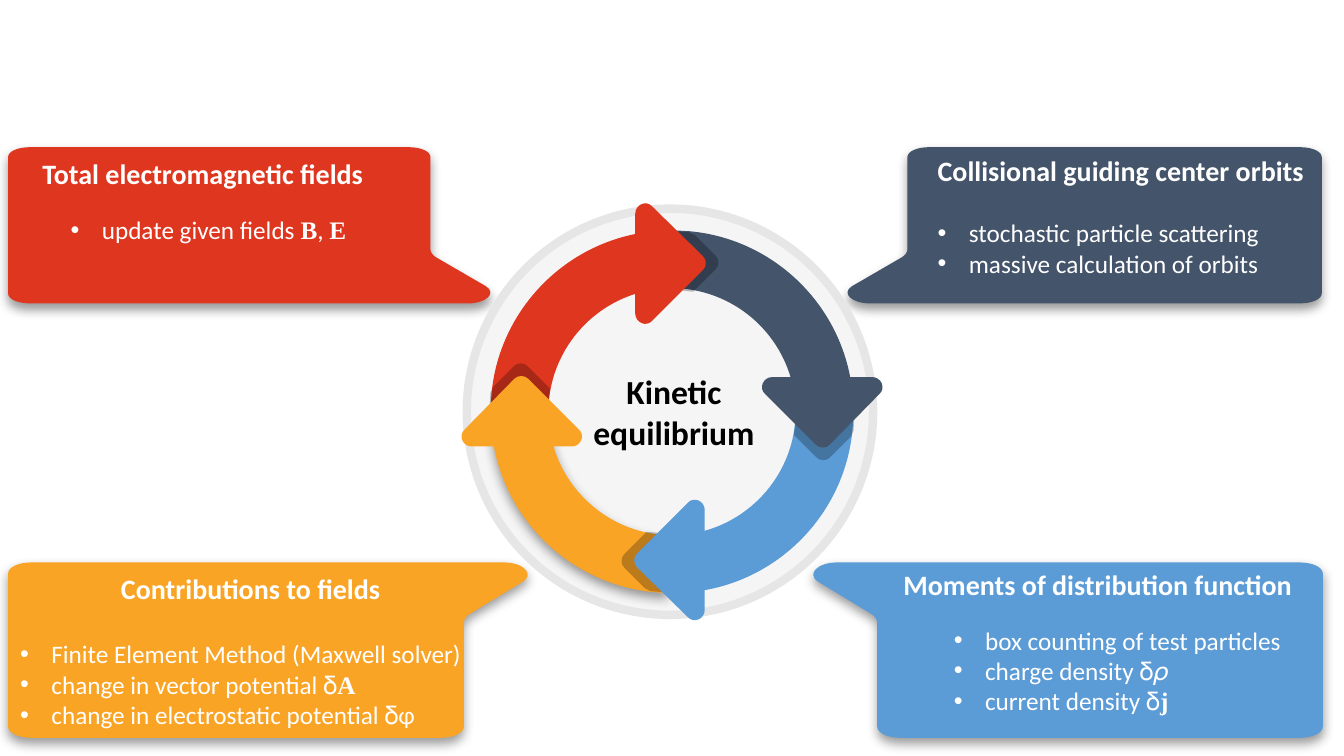
from collections import namedtuple
from math import cos, pi, sin

from lxml import etree
from pptx import Presentation
from pptx.dml.color import RGBColor as RGB
from pptx.enum.shapes import MSO_SHAPE as SHAPE
from pptx.enum.text import MSO_ANCHOR as ANCHOR, PP_ALIGN as ALIGN
from pptx.oxml.ns import qn
from pptx.util import Inches, Pt

Theme = namedtuple("Theme", "red slate blue amber disc rim black white title body hub sans serif")
THEME = Theme(red="DF361F", slate="44546A", blue="5B9BD6", amber="FAA426",
              disc="F5F5F5", rim="E7E6E6", black="000000", white="FFFFFF",
              title=20, body=18, hub=24, sans="Calibri", serif="Times New Roman")
Box = namedtuple("Box", "x y w h")
Callout = namedtuple("Callout", "box color tail_left tail_top top indent gap bullet_indent title bullets")

# Runs marked True are bold serif symbols.
CALLOUTS = [
    Callout(Box(8.41, 1.46, 4.7, 1.55), THEME.slate, True, False, 0.06, 0.51, 22, 0.82,
            "Collisional guiding center orbits",
            [[("stochastic particle scattering", False)],
             [("massive calculation of orbits", False)]]),
    Callout(Box(8.07, 5.58, 5.05, 1.74), THEME.blue, True, True, 0.05, 0.51, 17, 1.32,
            "Moments of distribution function",
            [[("box counting of test particles", False)],
             [("charge density ẟ𝜌", False)],
             [("current density ẟ", False), ("j", True)]]),
    Callout(Box(0.08, 1.46, 4.78, 1.55), THEME.red, False, False, 0.09, 0.22, 17.5, 0.81,
            "Total electromagnetic fields",
            [[("update given fields ", False), ("B", True), (", ", False), ("E", True)]]),
    Callout(Box(0.08, 5.58, 5.15, 1.74), THEME.amber, False, True, 0.09, 1, 24, 0.31,
            "Contributions to fields",
            [[("Finite Element Method (Maxwell solver)", False)],
             [("change in vector potential ẟ", False), ("A", True)],
             [("change in electrostatic potential ẟɸ", False)]]),
]

# Outlines: pairs are corners, sextuples are cubic curves.
HEAD_SIZE = (1.19, 0.71)
HEAD = [(0.59, 0), (0.62, 0, 0.64, 0.01, 0.66, 0.03), (1.16, 0.53),
        (1.23, 0.59, 1.18, 0.7, 1.09, 0.7), (0.1, 0.7),
        (0.01, 0.7, -0.04, 0.59, 0.03, 0.53), (0.52, 0.03),
        (0.54, 0.01, 0.56, 0, 0.59, 0)]
SHADE_SIZE = (0.6, 0.44)
SHADE = [(0.31, 0), (0.34, 0, 0.36, 0.01, 0.38, 0.03), (0.6, 0.25), (0.58, 0.44),
         (0, 0.44), (0.01, 0.29), (0.04, 0.23), (0.24, 0.03),
         (0.26, 0.01, 0.28, 0, 0.31, 0)]
QUADRANT_SIZE = (1.79, 1.77)
QUADRANT = [(0, 0), (0.17, 0.01), (1.02, 0.09, 1.7, 0.77, 1.78, 1.62), (1.79, 1.77),
            (1.21, 1.77), (1.21, 1.68), (1.15, 1.1, 0.69, 0.64, 0.11, 0.58), (0, 0.58)]


def mirror(outline, w, h, flip_x, flip_y):
    return [tuple((w - v if flip_x else v) if i % 2 == 0 else (h - v if flip_y else v)
                  for i, v in enumerate(part)) for part in outline]


def add_outline(slide, outline, box, color, shadow=False, alpha=None, rotation=0):
    """Filled freeform whose corners and cubic curves lie within the box."""
    w, h = Inches(box.w), Inches(box.h)
    builder = slide.shapes.build_freeform(0, 0, scale=1.0)
    builder.add_line_segments([(w, 0), (w, h)], close=True)
    sp = builder.convert_to_shape(Inches(box.x), Inches(box.y))
    props = sp._element.spPr
    track = props.find(".//" + qn("a:path"))
    for child in list(track):
        track.remove(child)
    for i, part in enumerate(outline):
        tag = "a:moveTo" if i == 0 else "a:lnTo" if len(part) == 2 else "a:cubicBezTo"
        step = etree.SubElement(track, qn(tag))
        for px, py in zip(part[::2], part[1::2]):
            etree.SubElement(step, qn("a:pt"), x=str(Inches(px)), y=str(Inches(py)))
    etree.SubElement(track, qn("a:close"))

    sp.rotation = rotation
    sp.fill.solid()
    sp.fill.fore_color.rgb = RGB.from_string(color)
    sp.line.fill.background()
    sp.shadow.inherit = False
    if alpha:
        tint = props.find(qn("a:solidFill")).find(qn("a:srgbClr"))
        etree.SubElement(tint, qn("a:alpha"), val=str(alpha * 1000))
    if shadow:
        outer = etree.SubElement(props.find(qn("a:effectLst")), qn("a:outerShdw"),
                                 blurRad=str(Pt(8)), dist=str(Pt(4)), dir="5400000",
                                 algn="t", rotWithShape="0")
        tint = etree.SubElement(outer, qn("a:srgbClr"), val=THEME.black)
        etree.SubElement(tint, qn("a:alpha"), val="40000")
    return sp


def add_run(p, text, size, color, bold=False, name=THEME.sans):
    r = p.add_run()
    r.text = text
    for key, value in dict(size=Pt(size), bold=bold, name=name).items():
        setattr(r.font, key, value)
    r.font.color.rgb = RGB.from_string(color)


def set_indent(p, left, bullet=False):
    props = p._p.get_or_add_pPr()
    props.set("marL", str(Inches(left)))
    props.set("indent", str(Inches(-0.31 if bullet else 0)))
    if bullet:
        etree.SubElement(props, qn("a:buFont"), typeface="Arial")
        etree.SubElement(props, qn("a:buChar"), char="•")


def callout_outline(box, tail_left, tail_top):
    """Rounded box with a tail at bottom right, mirrored as asked."""
    tail = 0.63 if tail_top else 0.59
    sx, sy = tail / 0.59, box.h / 1.55
    w, h = box.w, box.h
    body = w - tail
    rx, ry, cx, cy = 0.22 * sx, 0.1 * sy, 0.1 * sx, 0.04 * sy
    outline = [
        (body + 0.37 * sx, h), (rx, h), (cx, h, 0, h - cy, 0, h - ry),
        (0, ry), (0, cy, cx, 0, rx, 0),
        (body - rx, 0), (body - cx, 0, body, cy, body, ry),
        (body, h - 0.53 * sy),
        (body, h - 0.51 * sy, body + 0.02, h - 0.48 * sy, body + 0.05, h - 0.46 * sy),
        (body + 0.55 * sx, h - 0.17 * sy),
        (body + 0.66 * sx, h - 0.1 * sy, body + 0.55 * sx, h, body + 0.37 * sx, h),
    ]
    return mirror(outline, w, h, tail_left, tail_top)


def add_callout(slide, c):
    outline = callout_outline(c.box, c.tail_left, c.tail_top)
    sp = add_outline(slide, outline, c.box, c.color, shadow=True)
    tf = sp.text_frame
    left, right = (0.38, 0.09) if c.tail_left else (0.12, 0.38)
    layout = dict(word_wrap=True, vertical_anchor=ANCHOR.TOP, margin_left=Inches(left),
                  margin_right=Inches(right), margin_top=Inches(c.top),
                  margin_bottom=Inches(0.03))
    for key, value in layout.items():
        setattr(tf, key, value)
    p = tf.paragraphs[0]
    p.alignment = ALIGN.LEFT
    p.space_after = Pt(c.gap)
    set_indent(p, c.indent)
    add_run(p, c.title, THEME.title, THEME.white, bold=True)
    for runs in c.bullets:
        p = tf.add_paragraph()
        p.alignment = ALIGN.LEFT
        set_indent(p, c.bullet_indent, bullet=True)
        for text, symbol in runs:
            add_run(p, text, THEME.body, THEME.white, symbol,
                    THEME.serif if symbol else THEME.sans)


def add_quadrant(slide, mid_x, mid_y, left, low, color):
    w, h = QUADRANT_SIZE
    outline = mirror(QUADRANT, w, h, left, low)
    if left:  # the left quadrants are cut a little shorter at the middle
        w -= 0.04
        outline = [tuple(min(v, w) if i % 2 == 0 else v for i, v in enumerate(part))
                   for part in outline]
    x = mid_x - 1.78 if left else mid_x + 0.03
    y = mid_y + 0.03 if low else mid_y - 1.8
    add_outline(slide, outline, Box(x, y, w, h), color, shadow=color == THEME.amber)


def add_cycle(slide, box):
    disc = slide.shapes.add_shape(SHAPE.OVAL, *map(Inches, box))
    disc.shadow.inherit = False
    disc.fill.solid()
    disc.fill.fore_color.rgb = RGB.from_string(THEME.disc)
    disc.line.color.rgb = RGB.from_string(THEME.rim)
    disc.line.width = Pt(6)

    mid_x, mid_y = box.x + box.w / 2, box.y + box.h / 2
    for left, low, color in [(False, False, THEME.slate), (True, False, THEME.red),
                             (True, True, THEME.amber), (False, True, THEME.blue)]:
        add_quadrant(slide, mid_x, mid_y, left, low, color)

    # Each head: turn, centre from the middle of the disc, colour.
    heads = [(0, -1.47, 0, THEME.amber), (90, 0, -1.47, THEME.red),
             (270, 0, 1.47, THEME.blue), (180, 1.51, 0, THEME.slate)]
    for outline, (w, h), ahead, outward, look in [
            (SHADE, SHADE_SIZE, 0.26, 0.02, dict(alpha=25)),
            (HEAD, HEAD_SIZE, 0, 0, {})]:
        for turn, dx, dy, color in heads:
            a = turn * pi / 180
            x = mid_x + dx + ahead * sin(a) - outward * cos(a) - w / 2
            y = mid_y + dy - ahead * cos(a) - outward * sin(a) - h / 2
            add_outline(slide, outline, Box(x, y, w, h),
                        THEME.black if look else color, rotation=turn, **look)

    hub = slide.shapes.add_textbox(Inches(mid_x - 0.98), Inches(mid_y - 0.45),
                                   Inches(2.04), Inches(0.91))
    hub.text_frame.word_wrap = True
    p = hub.text_frame.paragraphs[0]
    p.alignment = ALIGN.CENTER
    add_run(p, "Kinetic equilibrium", THEME.hub, THEME.black, bold=True)


def main():
    prs = Presentation()
    prs.slide_width, prs.slide_height = Inches(13.33), Inches(7.5)
    s = prs.slides.add_slide(prs.slide_layouts[6])
    for callout in CALLOUTS:
        add_callout(s, callout)
    add_cycle(s, Box(4.63, 2.07, 4.03, 4.03))
    prs.save("out.pptx")


if __name__ == "__main__":
    main()
